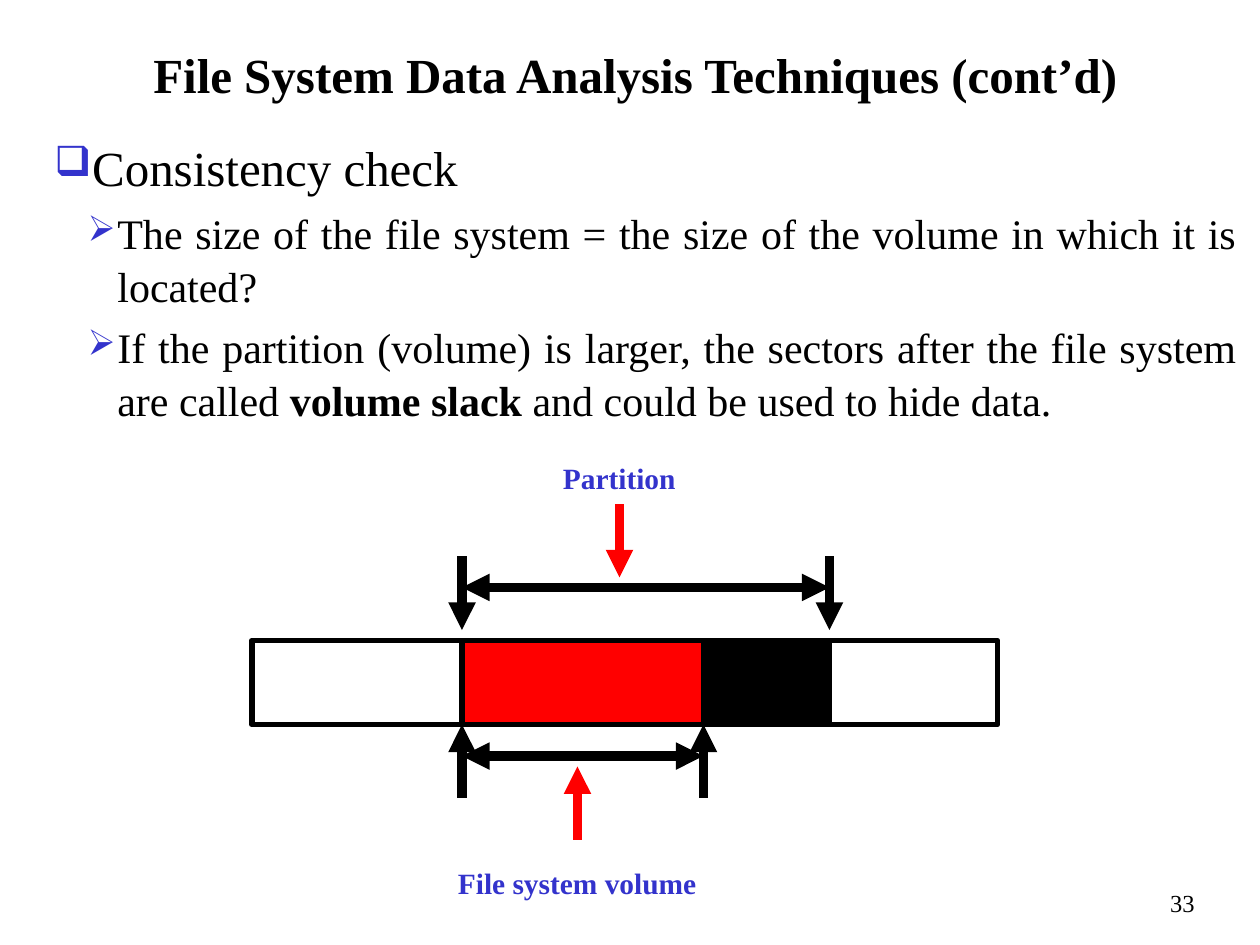
from lxml.etree import SubElement
from pptx import Presentation
from pptx.dml.color import RGBColor
from pptx.enum.shapes import MSO_CONNECTOR as Connector, MSO_SHAPE as Shape
from pptx.enum.text import MSO_ANCHOR as Anchor, PP_ALIGN as Align
from pptx.oxml.ns import qn
from pptx.util import Pt

BLACK = RGBColor(0x00, 0x00, 0x00)
RED = RGBColor(0xFF, 0x00, 0x00)
BLUE = RGBColor(0x33, 0x33, 0xCC)
FONT = "Times New Roman"

TITLE = "File System Data Analysis Techniques (cont’d)"
PAGE_NUMBER = "33"
POINTS = [
    (0, [("Consistency check", False)]),
    (1, [("The size of the file system = the size of the volume in which it is located?", False)]),
    (1, [("If the partition (volume) is larger, the sectors after the file system are called ", False),
         ("volume slack ", True),
         ("and could be used to hide data.", False)]),
]
LEVELS = [
    {"size": 28, "bullet": "❑", "margin": 21.6, "hang": 21.6},
    {"size": 24, "bullet": "➢", "margin": 36, "hang": 17},
]

DISK_LEFT, DISK_RIGHT = 144, 570
START, SYSTEM_END, PARTITION_END = 264, 402, 474
BAR_TOP, BAR_HEIGHT = 366, 48
BAR_BOTTOM = BAR_TOP + BAR_HEIGHT
ARROW = 42
BARS = [
    (DISK_LEFT, DISK_RIGHT, None),
    (START, PARTITION_END, BLACK),
    (START, SYSTEM_END, RED),
]
SPANS = [
    {"end": PARTITION_END, "y": 335.7, "marks": (318, 318 + ARROW),
     "pointer": (354, 288, 288 + ARROW),
     "label": "Partition", "label_at": (311.8, 257.8, 84.2, 30.2)},
    {"end": SYSTEM_END, "y": 432, "marks": (BAR_BOTTOM + ARROW, BAR_BOTTOM),
     "pointer": (330, 438 + ARROW, 438),
     "label": "File system volume", "label_at": (250.6, 486.7, 158.4, 36)},
]


def add_span(para, text, size=24, color=BLACK, bold=False):
    span = para.add_run()
    span.text = text
    span.font.name = FONT
    span.font.size = Pt(size)
    span.font.bold = bold
    span.font.color.rgb = color


def add_box(page, place, anchor=Anchor.TOP):
    box = page.shapes.add_textbox(*map(Pt, place))
    frame = box.text_frame
    frame.word_wrap = True
    frame.vertical_anchor = anchor
    return frame


def add_text(page, text, place, align=Align.CENTER, anchor=Anchor.MIDDLE, **style):
    para = add_box(page, place, anchor).paragraphs[0]
    para.alignment = align
    add_span(para, text, **style)


def add_bullet(para, char, margin, hang):
    props = para._p.get_or_add_pPr()
    props.set("marL", str(Pt(margin)))
    props.set("indent", str(-Pt(hang)))
    color = SubElement(props, qn("a:buClr"))
    SubElement(color, qn("a:srgbClr")).set("val", str(BLUE))
    SubElement(props, qn("a:buSzPct")).set("val", "85000")
    SubElement(props, qn("a:buChar")).set("char", char)


def add_points(page, points, place):
    frame = add_box(page, place)
    frame.margin_top = Pt(5)
    for index, (level, spans) in enumerate(points):
        para = frame.add_paragraph() if index else frame.paragraphs[0]
        look = LEVELS[level]
        add_bullet(para, look["bullet"], look["margin"], look["hang"])
        para.level = level
        para.alignment = Align.JUSTIFY
        para.line_spacing = 1.05
        para.space_before = Pt(0.2 * look["size"] if index else 0)
        for text, bold in spans:
            add_span(para, text, size=look["size"], bold=bold)


def add_bar(page, left, right, color):
    bar = page.shapes.add_shape(
        Shape.RECTANGLE, Pt(left), Pt(BAR_TOP), Pt(right - left), Pt(BAR_HEIGHT))
    bar.shadow.inherit = False
    bar.line.color.rgb = BLACK
    bar.line.width = Pt(3.25)
    if color is None:
        bar.fill.background()
    else:
        bar.fill.solid()
        bar.fill.fore_color.rgb = color


def add_arrow(page, start, end, color=BLACK, ends=("a:tailEnd",)):
    arrow = page.shapes.add_connector(Connector.STRAIGHT, *map(Pt, start + end))
    arrow.line.color.rgb = color
    arrow.line.width = Pt(5.25)
    for name in ends:
        SubElement(arrow.line._get_or_add_ln(), qn(name)).set("type", "triangle")
    SubElement(arrow._element.spPr, qn("a:effectLst"))


def main():
    deck = Presentation()
    deck.slide_width, deck.slide_height = Pt(720), Pt(540)
    page = deck.slides.add_slide(deck.slide_layouts[6])

    add_text(page, PAGE_NUMBER, (629.3, 504, 60.5, 36),
             align=Align.RIGHT, anchor=Anchor.TOP, size=14)
    add_text(page, TITLE, (18, 12.2, 690, 60), size=28, bold=True)
    add_points(page, POINTS, (24, 72, 690, 204))

    for left, right, color in BARS:
        add_bar(page, left, right, color)

    for extent in SPANS:
        end, y = extent["end"], extent["y"]
        tail, tip = extent["marks"]
        for x in (START, end):
            add_arrow(page, (x, tail), (x, tip))
        add_arrow(page, (START, y), (end, y), ends=("a:headEnd", "a:tailEnd"))
        x, tail, tip = extent["pointer"]
        add_arrow(page, (x, tail), (x, tip), color=RED)
        add_text(page, extent["label"], extent["label_at"], size=16.8, color=BLUE, bold=True)

    deck.save("out.pptx")


if __name__ == "__main__":
    main()
